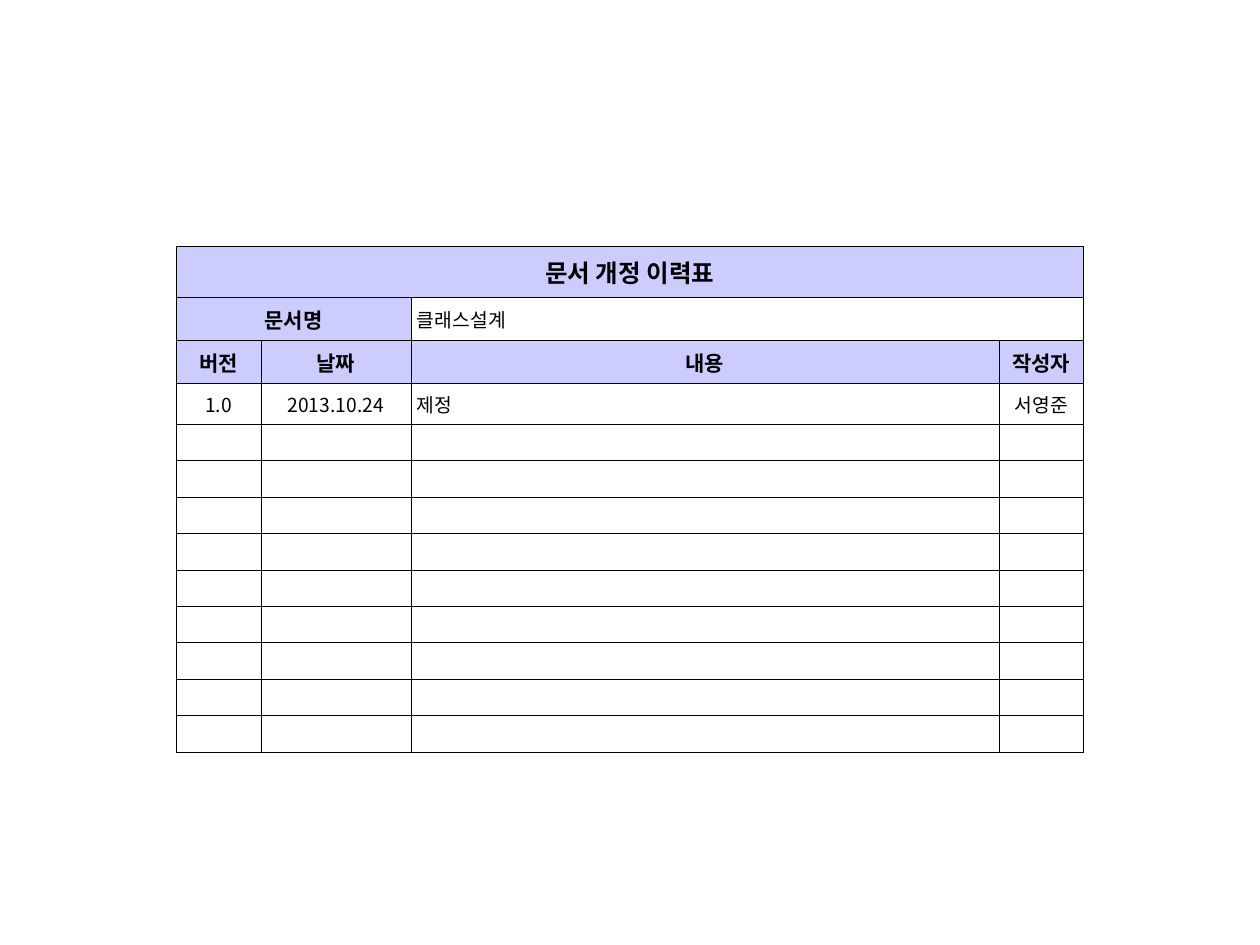
"""Build a slide with a document revision history table."""
from lxml import etree
from pptx import Presentation
from pptx.dml.color import RGBColor
from pptx.enum.text import MSO_ANCHOR, PP_ALIGN
from pptx.oxml.ns import qn
from pptx.util import Inches, Pt

MIDDLE = MSO_ANCHOR.MIDDLE
LEFT, CENTER = PP_ALIGN.LEFT, PP_ALIGN.CENTER

FONT = "Noto Sans CJK KR"
INK, HEADER_FILL, BODY_FILL = "000000", "CCCCFF", "FFFFFF"
TITLE_SIZE, HEADER_SIZE, BODY_SIZE = 14, 12, 11
BORDER_WIDTH, CELL_MARGIN = 0.25, 0.05

TABLE_BOX = (1.4, 1.95, 7.19, 3.85)
COLUMN_WIDTHS = [0.67, 1.19, 4.67, 0.67]
EMPTY_ROWS = 9
ROW_HEIGHTS = [0.41, 0.24, 0.24] + [0.23] * (1 + EMPTY_ROWS)

HISTORY = [
    ["문서 개정 이력표", "", "", ""],
    ["문서명", "", "클래스설계", ""],
    ["버전", "날짜", "내용", "작성자"],
    ["1.0", "2013.10.24", "제정", "서영준"],
] + [[""] * 4] * EMPTY_ROWS
MERGES = [((0, 0), (0, 3)), ((1, 0), (1, 1)), ((1, 2), (1, 3))]
CONTENT_COLUMN = 2


def color(hex_value):
    return RGBColor.from_string(hex_value)


def draw_borders(cell):
    properties = cell._tc.get_or_add_tcPr()
    for side in ("a:lnL", "a:lnR", "a:lnT", "a:lnB"):
        border = etree.SubElement(properties, qn(side), w=str(Pt(BORDER_WIDTH)))
        line_fill = etree.SubElement(border, qn("a:solidFill"))
        etree.SubElement(line_fill, qn("a:srgbClr"), val=INK)


def write_text(cell, text, size, bold, alignment):
    cell.text_frame.text = text
    paragraph = cell.text_frame.paragraphs[0]
    paragraph.alignment = alignment
    if not text:
        etree.SubElement(paragraph._p, qn("a:endParaRPr"), sz=str(size * 100))
    for run in paragraph.runs:
        run.font.name = FONT
        run.font.size = Pt(size)
        run.font.bold = bold
        run.font.color.rgb = color(INK)
        etree.SubElement(run.font._element, qn("a:ea"), typeface=FONT)


def format_cell(cell, row, column, text):
    is_header = row in (0, 2) or (row == 1 and column < CONTENT_COLUMN)
    size = TITLE_SIZE if row == 0 else HEADER_SIZE if is_header else BODY_SIZE
    is_content = column == CONTENT_COLUMN and not is_header
    draw_borders(cell)
    cell.fill.solid()
    cell.fill.fore_color.rgb = color(HEADER_FILL if is_header else BODY_FILL)
    cell.vertical_anchor = MIDDLE
    cell.margin_left = cell.margin_right = Inches(CELL_MARGIN)
    cell.margin_top = cell.margin_bottom = Inches(CELL_MARGIN)
    write_text(cell, text, size, is_header, LEFT if is_content else CENTER)


def main():
    presentation = Presentation()
    presentation.slide_width, presentation.slide_height = Inches(10), Inches(7.5)
    slide = presentation.slides.add_slide(presentation.slide_layouts[6])

    history_frame = slide.shapes.add_table(
        len(HISTORY), len(COLUMN_WIDTHS), *map(Inches, TABLE_BOX))
    history_table = history_frame.table
    history_table.first_row = history_table.horz_banding = False
    for column, width in zip(history_table.columns, COLUMN_WIDTHS):
        column.width = Inches(width)
    for row, height in zip(history_table.rows, ROW_HEIGHTS):
        row.height = Inches(height)
    history_frame.height = Inches(TABLE_BOX[3])

    for row, entries in enumerate(HISTORY):
        for column, text in enumerate(entries):
            format_cell(history_table.cell(row, column), row, column, text)
    for first, last in MERGES:
        history_table.cell(*first).merge(history_table.cell(*last))

    presentation.save("out.pptx")


if __name__ == "__main__":
    main()
